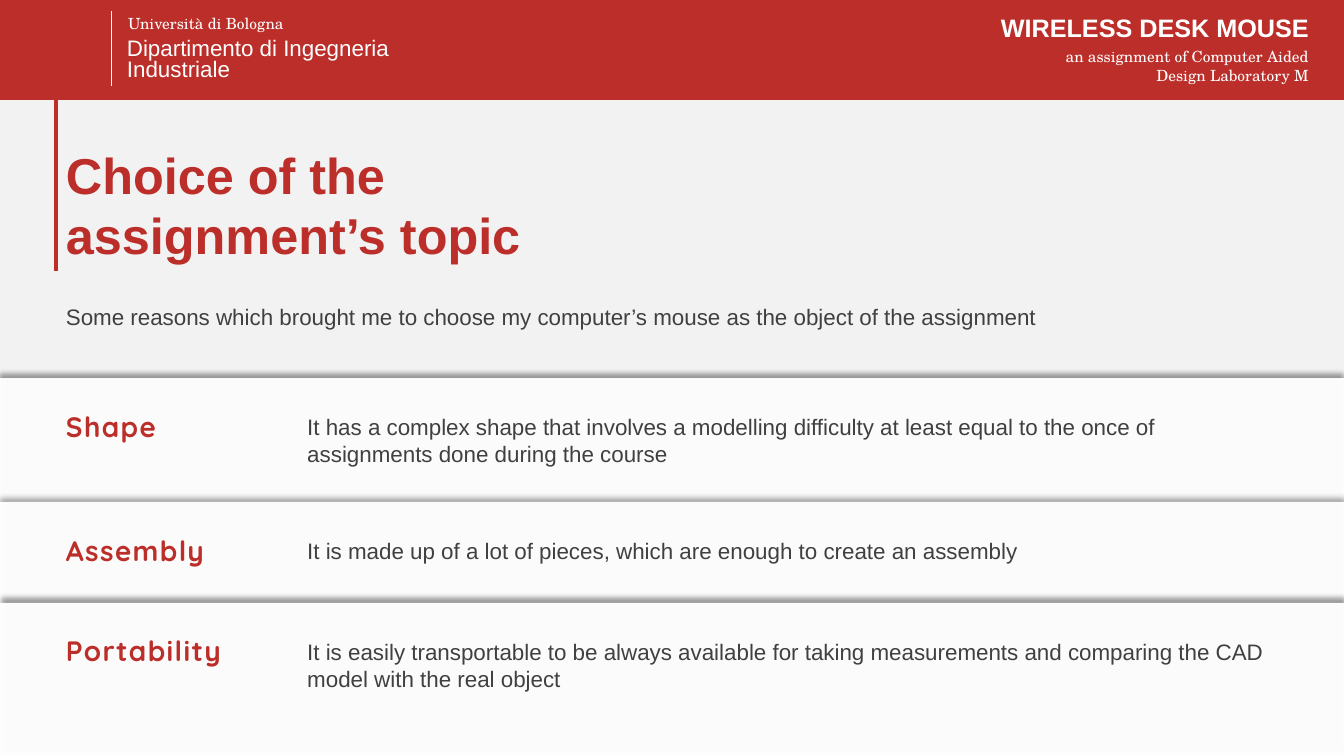
from lxml import etree
from pptx import Presentation
from pptx.dml.color import RGBColor
from pptx.enum.shapes import MSO_CONNECTOR, MSO_SHAPE
from pptx.enum.text import MSO_AUTO_SIZE, PP_ALIGN
from pptx.oxml import parse_xml
from pptx.oxml.ns import nsdecls, qn
from pptx.util import Inches, Pt

LEFT, RIGHT = PP_ALIGN.LEFT, PP_ALIGN.RIGHT
RECTANGLE = MSO_SHAPE.RECTANGLE
STRAIGHT = MSO_CONNECTOR.STRAIGHT
FIT_SHAPE = MSO_AUTO_SIZE.SHAPE_TO_FIT_TEXT

THEME = {
    "red": RGBColor(0xBC, 0x2E, 0x29),
    "white": RGBColor(0xFF, 0xFF, 0xFF),
    "grey": RGBColor(0x40, 0x40, 0x40),
    "background": RGBColor(0xF2, 0xF2, 0xF2),
    "sans": "Arial", "serif": "TeX Gyre Schola", "round": "Quicksand",
    "title": 36, "label": 20, "course": 18, "body": 16, "small": 11,
}

prs = Presentation()
prs.slide_width, prs.slide_height = Inches(13.33), Inches(7.5)
COL, ROW = prs.slide_width / 24, prs.slide_height / 30
slide = prs.slides.add_slide(prs.slide_layouts[6])
slide.background.fill.solid()
slide.background.fill.fore_color.rgb = THEME["background"]


def add_text(col, row, cols, rows, words, size, font, color,
             bold=False, align=LEFT):
    box = slide.shapes.add_textbox(
        int(col * COL), int(row * ROW), int(cols * COL), int(rows * ROW))
    frame = box.text_frame
    frame.word_wrap = True
    frame.auto_size = FIT_SHAPE
    paragraph = frame.paragraphs[0]
    paragraph.alignment = align
    run = paragraph.add_run()
    run.text = words
    run.font.size = Pt(THEME[size])
    run.font.name = THEME[font]
    run.font.color.rgb = THEME[color]
    run.font.bold = bold
    return paragraph


def add_band(row, rows, color):
    band = slide.shapes.add_shape(
        RECTANGLE, 0, int(row * ROW), prs.slide_width, int(rows * ROW))
    band.shadow.inherit = False
    band.fill.solid()
    band.fill.fore_color.rgb = THEME[color]
    band.line.fill.background()
    return band


# Header with department and course
add_band(0, 3.96, "red")
add_text(2.11, 0.36, 4.75, 1.16, "Università di Bologna",
         "small", "serif", "white")
department = add_text(2.09, 1.4, 5.47, 2.08,
                      "Dipartimento di Ingegneria Industriale",
                      "body", "sans", "white")
department.line_spacing = Pt(15)
add_text(16.6, 0.28, 6.95, 1.6, "WIRELESS DESK MOUSE",
         "course", "sans", "white", bold=True, align=RIGHT)
add_text(18.08, 1.68, 5.47, 1.88,
         "an assignment of Computer Aided Design Laboratory M",
         "small", "serif", "white", align=RIGHT)

# Vertical rules beside the department and the title
for col, top, bottom, color, width in [
    (2, 0.44, 3.4, "white", 0.75),
    (1, 3.76, 10.76, "red", 2.25),
]:
    rule = slide.shapes.add_connector(
        STRAIGHT, int(col * COL), int(top * ROW),
        int(col * COL), int(bottom * ROW))
    rule.line.color.rgb = THEME[color]
    rule.line.width = Pt(width)
    etree.SubElement(rule._element.spPr, qn("a:effectLst"))

# Title and introduction
add_text(1, 5.52, 8.59, 5.24, "Choice of the assignment’s topic",
         "title", "sans", "red", bold=True)
add_text(1, 11.84, 21.96, 1.48,
         "Some reasons which brought me to choose my computer’s mouse "
         "as the object of the assignment", "body", "sans", "grey")

# Reasons: overlapping panels, each running to the foot of the slide
reasons = [
    (15, 2.56, "Shape",
     "It has a complex shape that involves a modelling difficulty at least "
     "equal to the once of assignments done during the course"),
    (19.92, 1.48, "Assembly",
     "It is made up of a lot of pieces, which are enough to create "
     "an assembly"),
    (23.92, 2.56, "Portability",
     "It is easily transportable to be always available for taking "
     "measurements and comparing the CAD model with the real object"),
]
for row, rows, reason, explanation in reasons:
    panel = add_band(row, 30 - row, "white")
    properties = panel._element.spPr
    fill_color = properties.find(qn("a:solidFill"))[0]
    etree.SubElement(fill_color, qn("a:alpha"), val="97000")
    properties.find(qn("a:effectLst")).append(parse_xml(
        f'<a:outerShdw {nsdecls("a")} blurRad="{Pt(4)}" dist="{Pt(3)}" '
        'dir="16200000" algn="b" rotWithShape="0"><a:srgbClr val="000000">'
        '<a:alpha val="40000"/></a:srgbClr></a:outerShdw>'))
    label = add_text(1, row + 1.04, 3.62, 1.76, reason,
                     "label", "round", "red", bold=True)
    label.runs[0].font._element.set("spc", "100")
    add_text(5.31, row + 1.2, 17.68, rows, explanation,
             "body", "sans", "grey")

prs.save("out.pptx")
